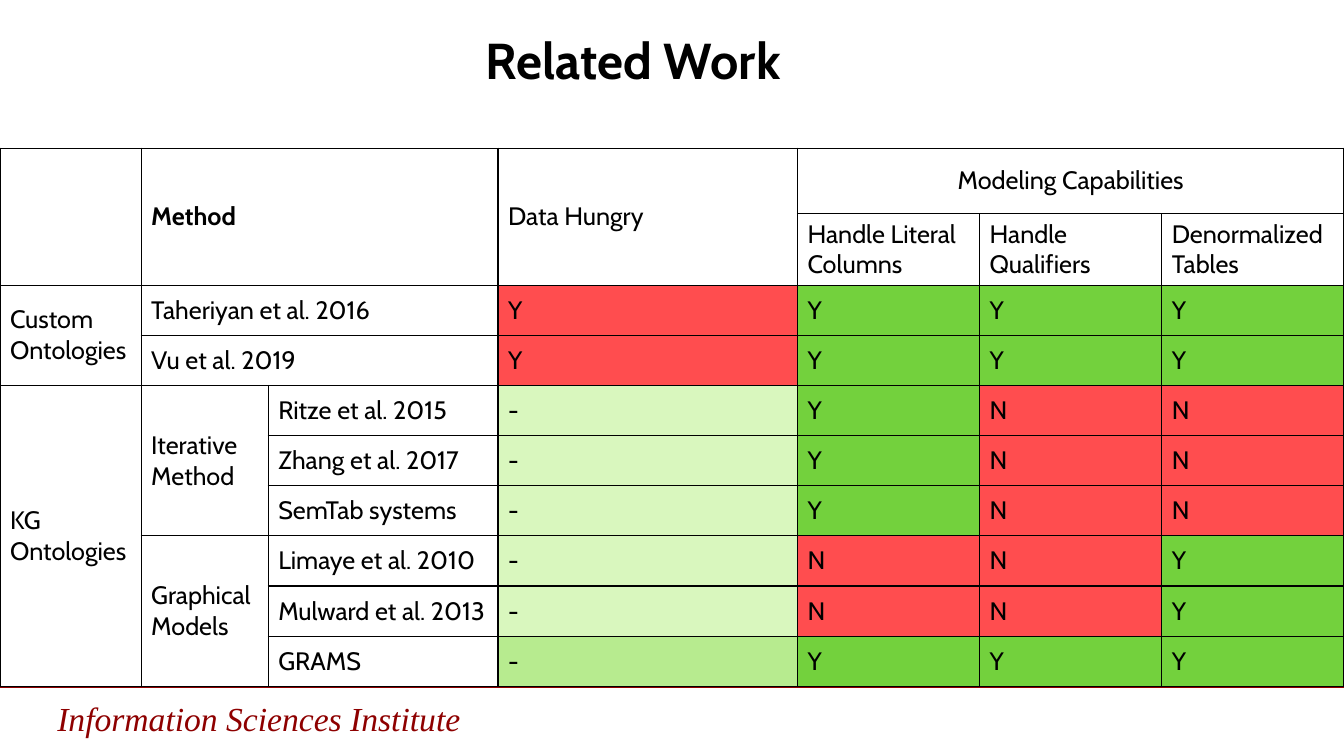
"""Build the Related Work slide: a comparison table of semantic modeling methods."""
from lxml.etree import SubElement
from pptx import Presentation
from pptx.dml.color import RGBColor
from pptx.enum.shapes import MSO_CONNECTOR
from pptx.enum.text import MSO_ANCHOR, PP_ALIGN
from pptx.oxml.ns import qn
from pptx.util import Inches, Pt

COLORS = {
    "black": "000000", "white": "FFFFFF", "maroon": "8E0000", "red": "FF4D4F",
    "green": "73D13D", "pale": "D9F7BE", "light": "B7EB8F",
}


def add_text(frame, text, size, font="Cabin", color="black", bold=False,
             italic=False, align=PP_ALIGN.LEFT):
    paragraph = frame.paragraphs[0]
    paragraph.alignment = align
    run = paragraph.add_run()
    run.text = text
    run.font.name = font
    run.font.size = Pt(size)
    run.font.bold = bold
    run.font.italic = italic
    run.font.color.rgb = RGBColor.from_string(COLORS[color])


def style_cell(cell, color):
    properties = cell._tc.get_or_add_tcPr()
    for side in ("a:lnL", "a:lnR", "a:lnT", "a:lnB"):
        border = SubElement(properties, qn(side), w=str(Pt(1)))
        border_fill = SubElement(border, qn("a:solidFill"))
        SubElement(border_fill, qn("a:srgbClr"), val=COLORS["black"])
    cell.fill.solid()
    cell.fill.fore_color.rgb = RGBColor.from_string(COLORS[color])
    cell.vertical_anchor = MSO_ANCHOR.MIDDLE


prs = Presentation()
prs.slide_width, prs.slide_height = Inches(13.33), Inches(7.5)
slide = prs.slides.add_slide(prs.slide_layouts[6])

footer_rule = slide.shapes.add_connector(
    MSO_CONNECTOR.STRAIGHT, Inches(0), Inches(6.81), Inches(13.33), Inches(6.81))
footer_rule.line.color.rgb = RGBColor.from_string(COLORS["maroon"])
footer_rule.line.width = Pt(2.25)
SubElement(footer_rule._element.spPr, qn("a:effectLst"))

institute = slide.shapes.add_textbox(Inches(0.47), Inches(6.87), Inches(6.57), Inches(0.51))
institute.text_frame.word_wrap = True
add_text(institute.text_frame, "Information Sciences Institute", 24,
         font="Times New Roman", color="maroon", italic=True)

title = slide.shapes.add_textbox(Inches(0.67), Inches(0.24), Inches(11.22), Inches(0.7))
title.text_frame.word_wrap = True
title.text_frame.vertical_anchor = MSO_ANCHOR.MIDDLE
add_text(title.text_frame, "Related Work", 36, bold=True, align=PP_ALIGN.CENTER)

table_width, table_height = 13.33, 5.34
column_widths = [1.4, 1.26, 2.28, 2.97]
column_widths += [(table_width - sum(column_widths)) / 3] * 3
row_heights = [0.65, 0.71]
row_heights += [(table_height - sum(row_heights)) / 8] * 8
methods = [
    ("Taheriyan et al. 2016", "YYYY"),
    ("Vu et al. 2019", "YYYY"),
    ("Ritze et al. 2015", "-YNN"),
    ("Zhang et al. 2017", "-YNN"),
    ("SemTab systems", "-YNN"),
    ("Limaye et al. 2010", "-NNY"),
    ("Mulward et al. 2013", "-NNY"),
    ("GRAMS", "-YYY"),
]
spans = [
    (0, 0, 1, 0), (0, 1, 1, 2), (0, 3, 1, 3), (0, 4, 0, 6),
    (2, 0, 3, 0), (2, 1, 2, 2), (3, 1, 3, 2),
    (4, 0, 9, 0), (4, 1, 6, 1), (7, 1, 9, 1),
]
labels = {
    (0, 1): "Method", (0, 3): "Data Hungry", (0, 4): "Modeling Capabilities",
    (1, 4): "Handle Literal Columns", (1, 5): "Handle Qualifiers",
    (1, 6): "Denormalized Tables",
    (2, 0): "Custom Ontologies", (4, 0): "KG Ontologies",
    (4, 1): "Iterative Method", (7, 1): "Graphical Models",
}
fills = {}
for row, (method, ratings) in enumerate(methods, start=2):
    labels[row, 1 if row < 4 else 2] = method
    for column, rating in enumerate(ratings, start=3):
        labels[row, column] = rating
        if rating == "-":
            fills[row, column] = "light" if method == "GRAMS" else "pale"
        else:
            is_good = rating == "Y" and column > 3
            fills[row, column] = "green" if is_good else "red"

comparison = slide.shapes.add_table(
    len(row_heights), len(column_widths), Inches(0), Inches(1.47),
    Inches(table_width), Inches(table_height)).table
comparison.first_row = False
comparison.horz_banding = False
for column, width in enumerate(column_widths):
    comparison.columns[column].width = Inches(width)
for top, left, bottom, right in spans:
    comparison.cell(top, left).merge(comparison.cell(bottom, right))
for row, height in enumerate(row_heights):
    comparison.rows[row].height = Inches(height)
    for column in range(len(column_widths)):
        cell = comparison.cell(row, column)
        style_cell(cell, fills.get((row, column), "white"))
        if (row, column) in labels:
            add_text(cell.text_frame, labels[row, column], 18,
                     bold=(row, column) == (0, 1),
                     align=PP_ALIGN.CENTER if (row, column) == (0, 4) else PP_ALIGN.LEFT)

prs.save("out.pptx")
